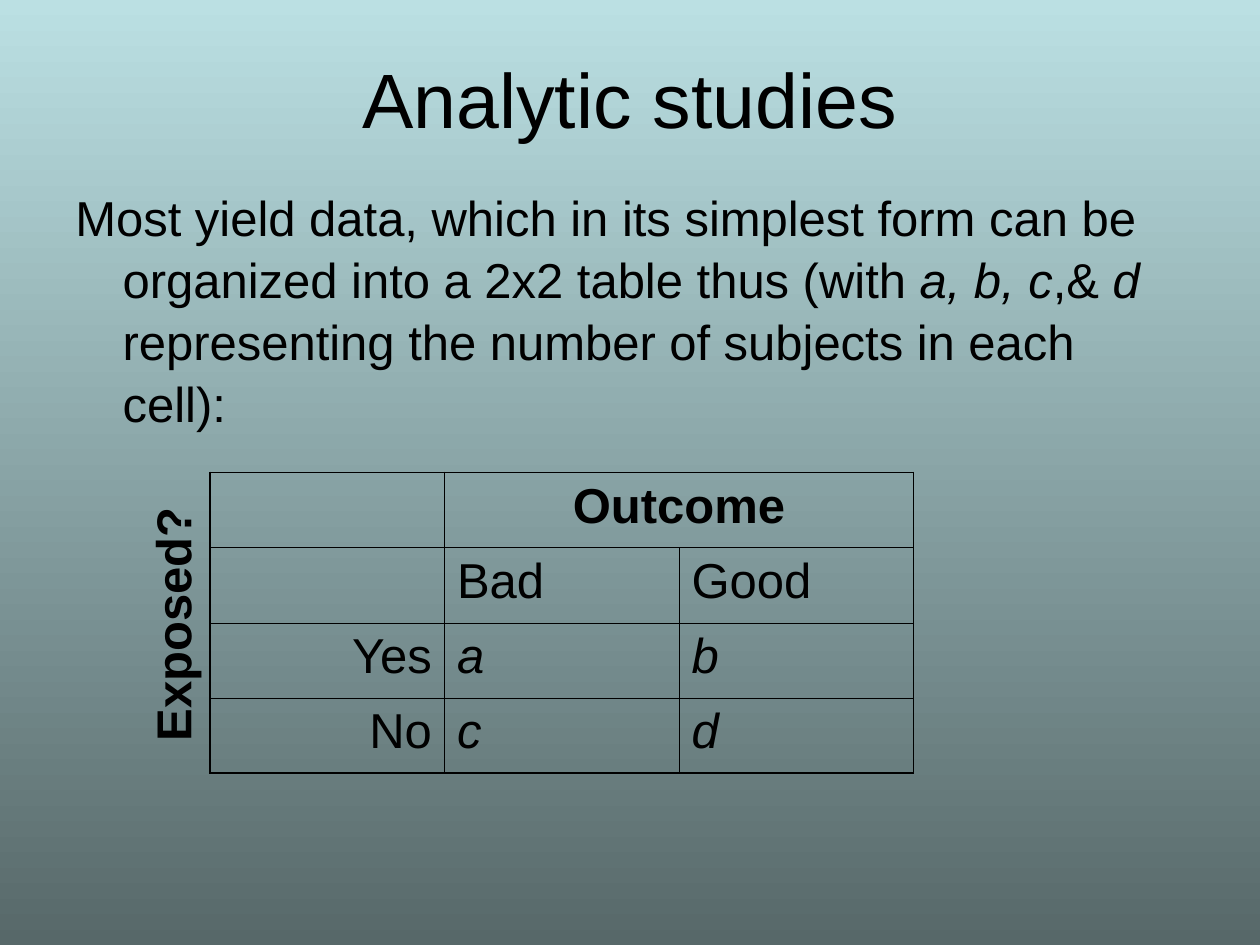
"""Build the "Analytic studies" slide with a two-by-two exposure and outcome table."""
from dataclasses import dataclass

from lxml.etree import SubElement
from pptx import Presentation
from pptx.dml.color import RGBColor
from pptx.enum.text import MSO_ANCHOR as Anchor, PP_ALIGN as Align
from pptx.oxml.ns import qn
from pptx.util import Pt


@dataclass(frozen=True)
class Theme:
    font: str = "Arial"
    ink: str = "000000"
    sky: str = "BBE0E3"
    slate: str = "576869"
    title: int = 44
    body: int = 28
    outer: float = 1.08
    inner: float = 0.45


theme = Theme()


def style(paragraph, size=theme.body, bold=False, align=Align.LEFT):
    paragraph.alignment = align
    for span in paragraph.runs:
        span.font.name = theme.font
        span.font.size = Pt(size)
        span.font.bold = bold
        span.font.color.rgb = RGBColor.from_string(theme.ink)


def add_border(cell, side, width):
    line = SubElement(cell._tc.get_or_add_tcPr(), qn(f"a:ln{side}"), w=str(Pt(width)))
    fill = SubElement(line, qn("a:solidFill"))
    SubElement(fill, qn("a:srgbClr"), val=theme.ink)


deck = Presentation()
deck.slide_width, deck.slide_height = Pt(720), Pt(540)
page = deck.slides.add_slide(deck.slide_layouts[6])

backdrop = page.background.fill
backdrop.gradient()
backdrop.gradient_angle = 270
for stop, color in zip(backdrop.gradient_stops, (theme.sky, theme.slate)):
    stop.color.rgb = RGBColor.from_string(color)

title = page.shapes.add_textbox(Pt(36), Pt(21.6), Pt(648), Pt(68.4)).text_frame
title.word_wrap = True
title.vertical_anchor = Anchor.MIDDLE
title.text = "Analytic studies"
style(title.paragraphs[0], theme.title, align=Align.CENTER)

body = page.shapes.add_textbox(Pt(36), Pt(102.2), Pt(648), Pt(149.8)).text_frame
body.word_wrap = True
intro = body.paragraphs[0]
intro.line_spacing = 1.05
indent = intro._p.get_or_add_pPr()
indent.set("marL", str(Pt(27)))
indent.set("indent", str(Pt(-27)))
for text, italic in (
    ("Most yield data, which in its simplest form can be organized into a 2x2 table thus (with ", False),
    ("a, b, c", True),
    (",& ", False),
    ("d", True),
    (" representing the number of subjects in each cell):", False),
):
    span = intro.add_run()
    span.text = text
    span.font.italic = italic
style(intro)

rows = (
    ("", "Outcome", ""),
    ("", "Bad", "Good"),
    ("Yes", "a", "b"),
    ("No", "c", "d"),
)
table = page.shapes.add_table(4, 3, Pt(120), Pt(270), Pt(402), Pt(172)).table
table.first_row = table.horz_banding = False
table.cell(0, 1).merge(table.cell(0, 2))
for row in table.rows:
    row.height = Pt(43)
for row_index, texts in enumerate(rows):
    for column_index, text in enumerate(texts):
        cell = table.cell(row_index, column_index)
        if cell.is_spanned:
            continue
        header = cell.is_merge_origin
        edges = {
            "L": column_index == 0,
            "R": column_index == 2 or header,
            "T": row_index == 0,
            "B": row_index == 3,
        }
        for side, is_outer in edges.items():
            add_border(cell, side, theme.outer if is_outer else theme.inner)
        cell.fill.background()
        if text:
            cell.text_frame.text = text
            paragraph = cell.text_frame.paragraphs[0]
            align = Align.CENTER if header else Align.LEFT if column_index else Align.RIGHT
            style(paragraph, bold=header, align=align)
            paragraph.runs[0].font.italic = row_index > 1 and column_index > 0

exposed = page.shapes.add_textbox(Pt(17.3), Pt(336.2), Pt(162), Pt(41))
exposed.rotation = 270
exposed.text_frame.word_wrap = True
exposed.text_frame.text = "Exposed?"
style(exposed.text_frame.paragraphs[0], bold=True, align=Align.CENTER)

deck.save("out.pptx")
